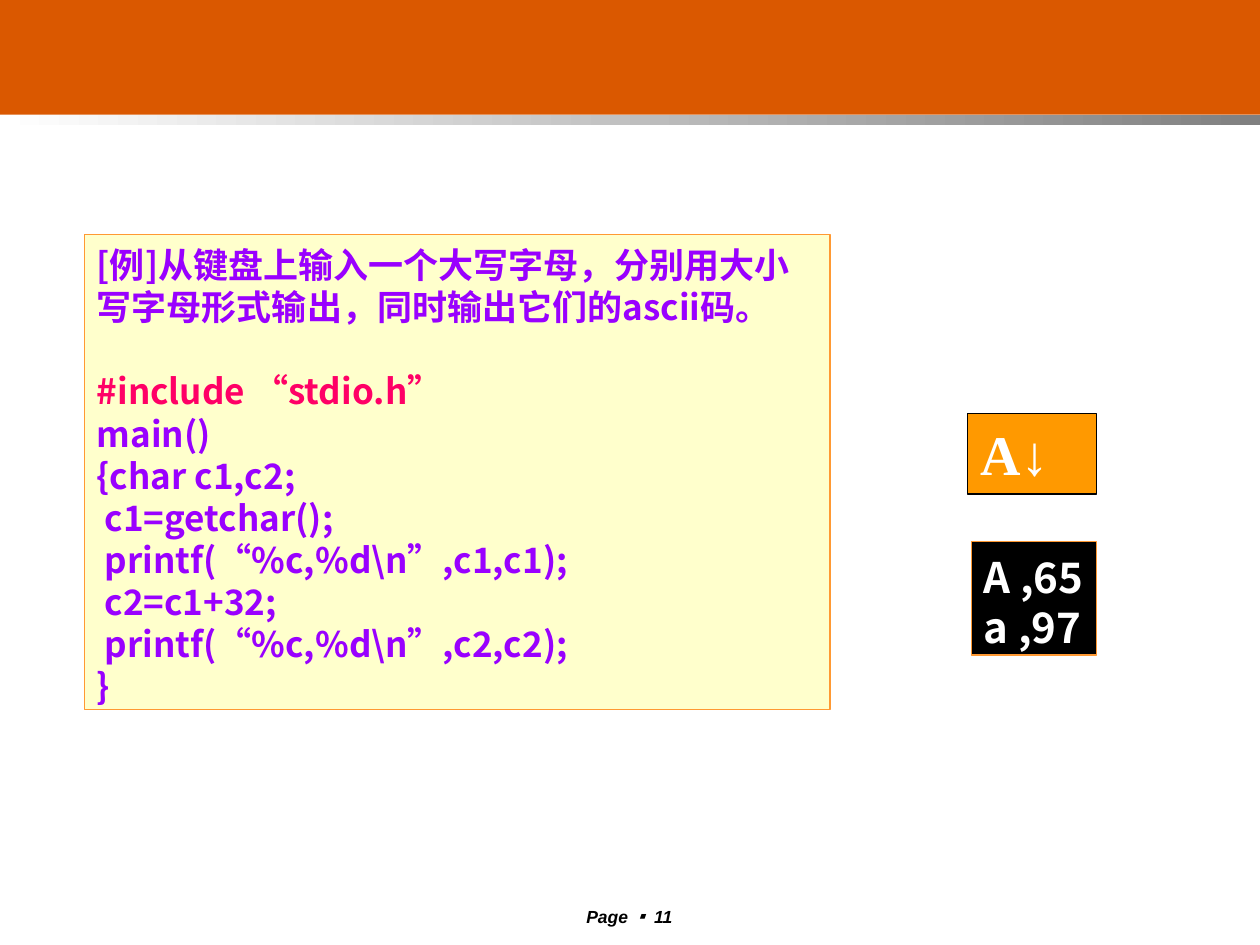
from lxml.etree import SubElement
from pptx import Presentation
from pptx.dml.color import RGBColor
from pptx.enum.shapes import MSO_SHAPE
from pptx.enum.text import MSO_ANCHOR, PP_ALIGN
from pptx.oxml.ns import qn
from pptx.util import Pt

THEME = {
    "orange": "DA5800", "gray": "808080", "white": "FFFFFF", "black": "000000",
    "cream": "FFFFCC", "amber": "FF9900", "border": "FF9933",
    "purple": "9900FF", "pink": "FF0066",
    "sans": "Noto Sans CJK SC", "symbol": "Noto Sans CJK JP",
    "serif": "Times New Roman", "footer": "Arial",
    "code_size": 20, "input_size": 32, "output_size": 24, "footer_size": 10,
}

# Content: one tuple of lines per panel
TASK = "[例]从键盘上输入一个大写字母，分别用大小写字母形式输出，同时输出它们的ascii码。"
INCLUDE = "#include “stdio.h”"
PROGRAM = (
    "main()",
    "{char c1,c2;",
    " c1=getchar();",
    " printf(“%c,%d\\n”,c1,c1);",
    " c2=c1+32;",
    " printf(“%c,%d\\n”,c2,c2);",
    "}",
)
FOOTER = (("Page ", "footer"), ("▪ ", "symbol"), ("11", "footer"))

PANELS = (
    {"lines": (TASK, INCLUDE) + PROGRAM, "place": (48.2, 133.9, 426.2, 271.4),
     "fill": "cream", "line": "border", "text": "purple", "font": "sans",
     "size": "code_size", "pitch": 24, "top": 5.5, "wrap": True},
    {"lines": ("A↓",), "place": (553, 236.2, 73.4, 46.1),
     "fill": "amber", "line": "black", "text": "white", "font": "serif",
     "size": "input_size", "pitch": None, "top": 3.6, "wrap": True},
    {"lines": ("A ,65", "a ,97"), "place": (555.1, 309.6, 71.3, 64.8),
     "fill": "black", "line": "border", "text": "white", "font": "sans",
     "size": "output_size", "pitch": 28.8, "top": 5.5, "wrap": False},
)


def color(name):
    return RGBColor.from_string(THEME[name])


def add_rectangle(page, place):
    box = page.shapes.add_shape(MSO_SHAPE.RECTANGLE, *map(Pt, place))
    box.shadow.inherit = False
    box.line.fill.background()
    return box


def set_frame(frame, top, wrap):
    values = {"margin_left": Pt(7.2), "margin_right": Pt(7.2),
              "margin_top": Pt(top), "margin_bottom": Pt(3.6),
              "vertical_anchor": MSO_ANCHOR.TOP, "word_wrap": wrap}
    for name, value in values.items():
        setattr(frame, name, value)


def add_span(para, text, font, size, ink, italic=False):
    span = para.add_run()
    span.text = text
    values = {"name": THEME[font], "size": Pt(THEME[size]),
              "bold": True, "italic": italic}
    for name, value in values.items():
        setattr(span.font, name, value)
    span.font.color.rgb = color(ink)
    # East Asian letters use the same typeface
    SubElement(span.font._element, qn("a:ea"), typeface=THEME[font])


def add_panel(page, panel):
    box = add_rectangle(page, panel["place"])
    box.fill.solid()
    box.fill.fore_color.rgb = color(panel["fill"])
    box.line.color.rgb = color(panel["line"])
    box.line.width = Pt(0.75)
    frame = box.text_frame
    set_frame(frame, panel["top"], panel["wrap"])
    for index, text in enumerate(panel["lines"]):
        para = frame.add_paragraph() if index else frame.paragraphs[0]
        para.alignment = PP_ALIGN.LEFT
        if panel["pitch"]:
            para.line_spacing = Pt(panel["pitch"])
        ink = panel["text"]
        if text == INCLUDE:
            para.space_before = Pt(panel["pitch"])  # one line between task and code
            ink = "pink"
        add_span(para, text, panel["font"], panel["size"], ink)


def main():
    deck = Presentation()
    deck.slide_width, deck.slide_height = Pt(720), Pt(540)
    page = deck.slides.add_slide(deck.slide_layouts[6])

    # Header band and the fading strip below it
    band = add_rectangle(page, (0, 0, 720, 65.5))
    band.fill.solid()
    band.fill.fore_color.rgb = color("orange")
    strip = add_rectangle(page, (0, 65.5, 720, 5.8))
    strip.fill.gradient()
    strip.fill.gradient_angle = 0
    for stop, name, position in zip(strip.fill.gradient_stops, ("white", "gray"), (0, 1)):
        stop.color.rgb = color(name)
        stop.position = position

    # Code, typed input and printed output
    for panel in PANELS:
        add_panel(page, panel)

    # Page number
    footer = page.shapes.add_textbox(*map(Pt, (303.1, 514.1, 113, 15.8)))
    set_frame(footer.text_frame, 3.6, True)
    para = footer.text_frame.paragraphs[0]
    para.alignment = PP_ALIGN.CENTER
    for text, font in FOOTER:
        add_span(para, text, font, "footer_size", "black", italic=True)

    deck.save("out.pptx")


if __name__ == "__main__":
    main()
